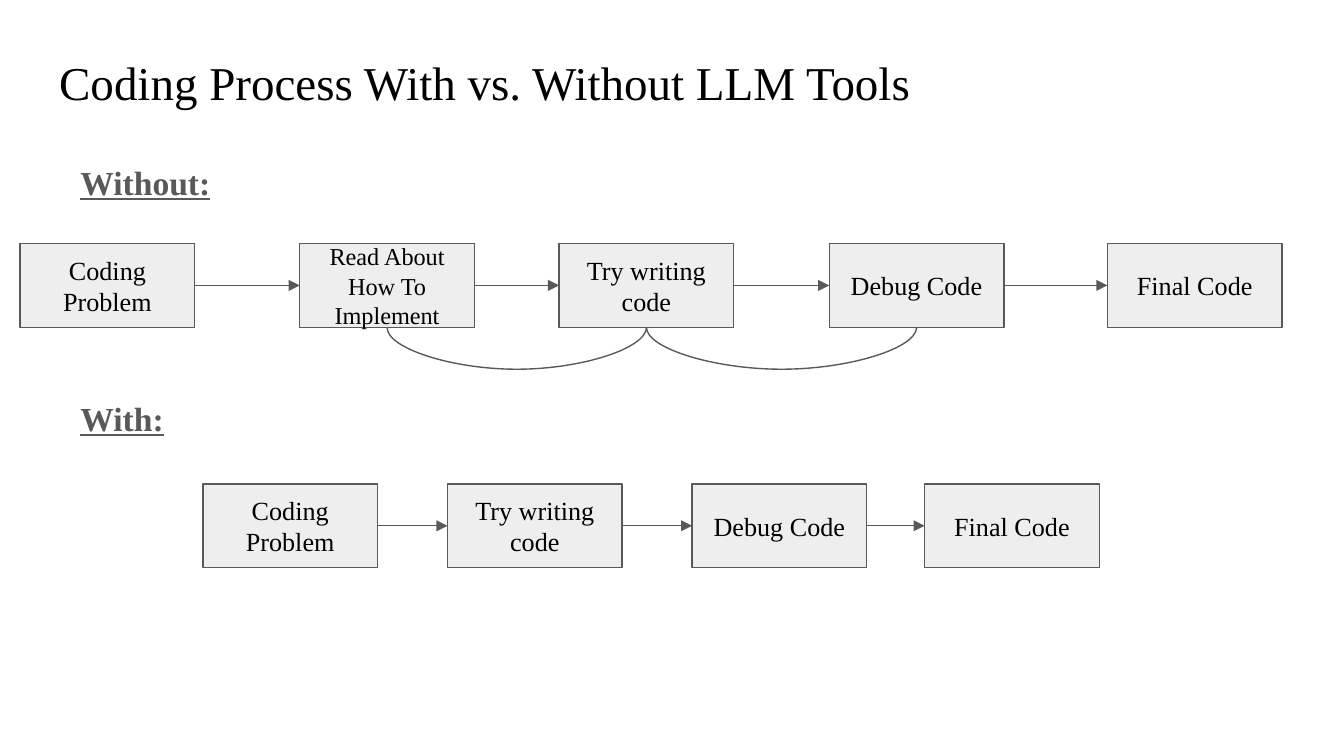
from dataclasses import dataclass
from itertools import pairwise

from lxml import etree
from pptx import Presentation
from pptx import util as u
from pptx.dml.color import RGBColor
from pptx.enum import shapes, text
from pptx.oxml.ns import qn

FONT = "Times New Roman"
INK, GREY, PALE = "000000", "595959", "EEEEEE"
BOX_W, BOX_H = 13, 11.11  # percent of slide width and height
TOP, LEFT, BOTTOM, RIGHT = range(4)  # connection sites of a rectangle


@dataclass
class Step:
    label: str
    left: float
    size: float = 14


@dataclass
class Flow:
    head: str
    head_top: float
    top: float
    steps: list[Step]
    loops: list[tuple[int, int]]


FLOWS = [
    Flow("Without:", 18.84, 32.2, [
        Step("Coding Problem", 1.5),
        Step("Read About How To Implement", 22.3, 13),
        Step("Try writing code", 41.6),
        Step("Debug Code", 61.7),
        Step("Final Code", 82.4),
    ], [(3, 2), (2, 1)]),
    Flow("With:", 50, 64, [
        Step("Coding Problem", 15.1),
        Step("Try writing code", 33.3),
        Step("Debug Code", 51.5),
        Step("Final Code", 68.8),
    ], []),
]

prs = Presentation()
prs.slide_width, prs.slide_height = u.Inches(10), u.Inches(5.625)
slide = prs.slides.add_slide(prs.slide_layouts[5])


def across(share: float) -> int:
    """Percent of the slide's width."""
    return round(prs.slide_width * share / 100)


def down(share: float) -> int:
    """Percent of the slide's height."""
    return round(prs.slide_height * share / 100)


def rgb(code: str) -> RGBColor:
    return RGBColor.from_string(code)


def write(shape, words: str, size: float, color: str, align, anchor):
    """Fill a shape with one paragraph and return that paragraph."""
    frame = shape.text_frame
    frame.word_wrap = True
    frame.auto_size = text.MSO_AUTO_SIZE.NONE
    frame.vertical_anchor = anchor
    frame.margin_left = frame.margin_right = u.Inches(0.1)
    frame.margin_top = frame.margin_bottom = u.Inches(0.1)
    para = frame.paragraphs[0]
    para.text = words
    para.alignment = align
    para.font.name, para.font.size = FONT, u.Pt(size)
    para.font.color.rgb = rgb(color)
    return para


def add_title(words: str) -> None:
    title = slide.shapes.title
    title.left, title.top = across(3.4), down(5.2)
    title.width, title.height = across(93.2), down(11.2)
    write(title, words, 25.2, INK, text.PP_ALIGN.LEFT, text.MSO_ANCHOR.MIDDLE)


def add_head(flow: Flow) -> None:
    box = slide.shapes.add_textbox(across(5), down(flow.head_top), across(BOX_W), down(10.3))
    para = write(box, flow.head, 18, GREY, text.PP_ALIGN.LEFT, text.MSO_ANCHOR.TOP)
    para.line_spacing = 1.15
    para.font.bold = para.font.underline = True


def add_box(step: Step, top: float):
    box = slide.shapes.add_shape(shapes.MSO_SHAPE.RECTANGLE, across(step.left), down(top),
                                 across(BOX_W), down(BOX_H))
    box.shadow.inherit = False
    box.fill.solid()
    box.fill.fore_color.rgb = rgb(PALE)
    box.line.color.rgb, box.line.width = rgb(GREY), u.Pt(0.75)
    write(box, step.label, step.size, INK, text.PP_ALIGN.CENTER, text.MSO_ANCHOR.MIDDLE)
    return box


def join(kind, start, out: int, end, into: int):
    """Glue a thin grey connector to sites of two boxes."""
    link = slide.shapes.add_connector(kind, 0, 0, 0, 0)
    link.begin_connect(start, out)
    link.end_connect(end, into)
    link.line.color.rgb, link.line.width = rgb(GREY), u.Pt(0.75)
    etree.SubElement(link._element.spPr, qn("a:effectLst"))
    return link


def add_arrow(start, end) -> None:
    link = join(shapes.MSO_CONNECTOR.STRAIGHT, start, RIGHT, end, LEFT)
    etree.SubElement(link.line._get_or_add_ln(), qn("a:tailEnd"), type="triangle")


def add_loop(start, end) -> None:
    """Sag a curve below two boxes, from the right one back to the left."""
    link = join(shapes.MSO_CONNECTOR.CURVE, start, BOTTOM, end, BOTTOM)
    span, thin, sag = start.left - end.left, 600, u.Inches(0.26)
    props = link._element.spPr
    frame = props.find(qn("a:xfrm"))
    for flip in ("flipH", "flipV"):
        frame.attrib.pop(flip, None)
    frame.set("rot", str(90 * 60000))
    link.left = (start.left + end.left + start.width - thin) // 2
    link.top = start.top + start.height - span // 2
    link.width, link.height = thin, span
    guides = props.find(qn("a:prstGeom")).get_or_add_avLst()
    etree.SubElement(guides, qn("a:gd"), name="adj1", fmla=f"val {sag * 100000 // thin}")


add_title("Coding Process With vs. Without LLM Tools")
for flow in FLOWS:
    add_head(flow)
    boxes = [add_box(step, flow.top) for step in flow.steps]
    for start, end in pairwise(boxes):
        add_arrow(start, end)
    for start, end in flow.loops:
        add_loop(boxes[start], boxes[end])

prs.save("out.pptx")
